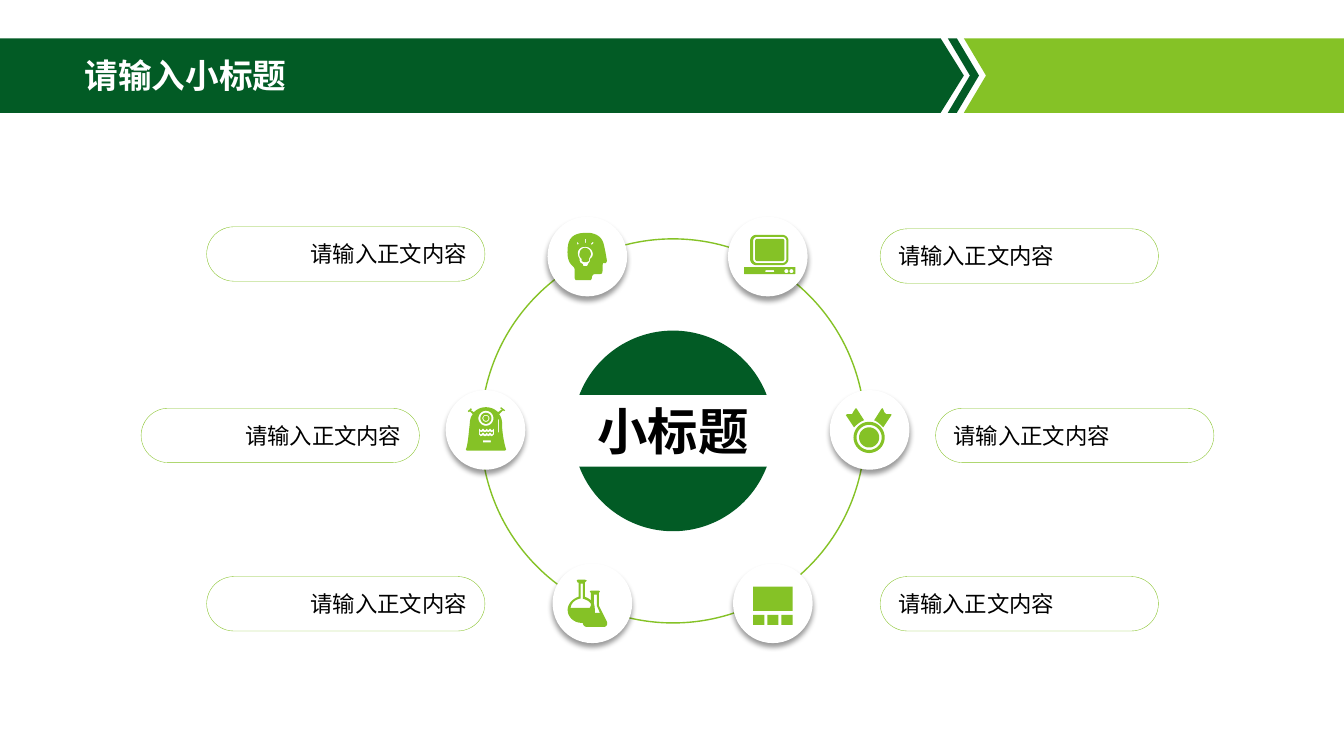
import dataclasses

import pptx
import pptx.dml.color
import pptx.enum.shapes
import pptx.enum.text
import pptx.oxml
import pptx.oxml.ns
import pptx.util

SHAPE = pptx.enum.shapes.MSO_SHAPE
ALIGN = pptx.enum.text.PP_ALIGN
ANCHOR = pptx.enum.text.MSO_ANCHOR
EMU_PER_PX = 9144  # 100 px to the inch


def px(length):
    return pptx.util.Emu(round(length * EMU_PER_PX))


@dataclasses.dataclass(frozen=True)
class Theme:
    dark: str = "025B25"
    light: str = "85C226"
    white: str = "FFFFFF"
    black: str = "000000"
    font: str = "Noto Sans CJK SC"
    title: int = 24
    hub: int = 36
    body: int = 16


# Outlines: a node of two numbers is a corner, one of six a cubic curve
def box(x, y, w, h):
    return [(x, y), (x + w, y), (x + w, y + h), (x, y + h)]


def rounded(x, y, w, h, r):
    k, right, bottom = r * 0.45, x + w, y + h
    return [(x + r, y), (right - r, y),
            (right - k, y, right, y + k, right, y + r), (right, bottom - r),
            (right, bottom - k, right - k, bottom, right - r, bottom),
            (x + r, bottom),
            (x + k, bottom, x, bottom - k, x, bottom - r), (x, y + r),
            (x, y + k, x + k, y, x + r, y)]


def ring(cx, cy, d):
    return rounded(cx - d / 2, cy - d / 2, d, d, d / 2)


def flatten(nodes, steps=8):
    points = []
    for node in nodes:
        if len(node) == 2:
            points.append(node)
            continue
        curve = [points[-1], node[:2], node[2:4], node[4:]]
        for step in range(1, steps + 1):
            t = step / steps
            weights = ((1 - t) ** 3, 3 * t * (1 - t) ** 2, 3 * t * t * (1 - t), t ** 3)
            points.append(tuple(sum(w * p[axis] for w, p in zip(weights, curve))
                                for axis in (0, 1)))
    return points


class SlideBuilder:
    def __init__(self, slide, theme):
        self.slide, self.theme = slide, theme

    def color(self, value):
        return pptx.dml.color.RGBColor.from_string(value)

    def paint(self, shape, fill=None, line=None, width=1):
        shape.shadow.inherit = False
        if fill:
            shape.fill.solid()
            shape.fill.fore_color.rgb = self.color(fill)
        else:
            shape.fill.background()
        if line:
            shape.line.color.rgb = self.color(line)
            shape.line.width = pptx.util.Pt(width)
        else:
            shape.line.fill.background()
        return shape

    def preset(self, kind, x, y, w, h, **style):
        shape = self.slide.shapes.add_shape(kind, px(x), px(y), px(w), px(h))
        return self.paint(shape, **style)

    def outline(self, x, y, contours, fill):
        paths = [[(px(x + a), px(y + b)) for a, b in flatten(c)] for c in contours]
        builder = self.slide.shapes.build_freeform(*paths[0][0])
        builder.add_line_segments(paths[0][1:])
        for contour in paths[1:]:
            builder.move_to(*contour[0])
            builder.add_line_segments(contour[1:])
        return self.paint(builder.convert_to_shape(), fill)

    def label(self, shape, words, size, color, bold=False,
              align=ALIGN.LEFT, anchor=ANCHOR.MIDDLE):
        frame = shape.text_frame
        frame.word_wrap = True
        frame.vertical_anchor = anchor
        paragraph = frame.paragraphs[0]
        paragraph.alignment = align
        run = paragraph.add_run()
        run.text = words
        run.font.size, run.font.bold = pptx.util.Pt(size), bold
        run.font.color.rgb = self.color(color)
        run.font.name = self.theme.font
        run_format = run._r.get_or_add_rPr()
        run_format.append(run_format.makeelement(
            pptx.oxml.ns.qn("a:ea"), {"typeface": self.theme.font}))
        return paragraph

    def title(self, words, x, y, w, h):
        holder = self.slide.shapes.title
        holder.left, holder.top, holder.width, holder.height = map(px, (x, y, w, h))
        paragraph = self.label(holder, words, self.theme.title, self.theme.white, True)
        paragraph.line_spacing = 0.9
        self.slide.shapes._spTree.append(holder._element)  # in front of the banner

    def disc(self, x, y, size=79):
        disc = self.preset(SHAPE.OVAL, x, y, size, size, fill=self.theme.white)
        effects = disc._element.spPr.find(pptx.oxml.ns.qn("a:effectLst"))
        effects.append(pptx.oxml.parse_xml(
            f'<a:outerShdw {pptx.oxml.ns.nsdecls("a")} blurRad="50800" dist="38100" '
            'dir="5400000" algn="t" rotWithShape="0"><a:srgbClr val="000000">'
            '<a:alpha val="40000"/></a:srgbClr></a:outerShdw>'))

    def pill(self, x, y, words, align):
        pill = self.preset(SHAPE.ROUNDED_RECTANGLE, x, y, 276, 54,
                           line=self.theme.light, width=0.25)
        pill.adjustments[0] = 0.5
        self.label(pill, words, self.theme.body, self.theme.black, align=align)


HEAD = [
    [(20, 0), (26, 0, 32, 3, 34, 7), (36, 9, 38, 22, 39, 28), (38, 30), (35, 30),
     (34, 36, 36, 41, 32, 41), (27, 41), (25, 41, 24, 43, 24, 45), (23, 47), (8, 47),
     (7, 45), (7, 37), (7, 35, 6, 34, 5, 33), (3, 31, -1, 28, 0, 15), (1, 1, 11, 0, 20, 0)],
    [(16, 14), (13, 14, 10, 17, 10, 20), (10, 22, 11, 25, 12, 26), (12, 28),
     (12, 29, 13, 30, 15, 31), (15, 32), (16, 33), (19, 33), (20, 32), (20, 31),
     (21, 30, 22, 29, 22, 28), (22, 26), (24, 25, 25, 23, 25, 21), (25, 17, 21, 13, 16, 14)],
    [(17, 15), (21, 15, 23, 18, 23, 21), (23, 23, 22, 24, 21, 26), (21, 28), (19, 29),
     (16, 29), (14, 28), (14, 26), (12, 24, 11, 22, 12, 20), (12, 18, 14, 15, 17, 15)],
    [(10, 9), (9, 10), (10, 12), (11, 11)],
    [(25, 9), (23, 11), (24, 12), (26, 10)],
    box(17, 6, 1, 4),
]
ROBOT = [
    [(20, 0), (25, 0, 29, 2, 32, 5), (36, 2), (34, 1), (35, 0), (39, 3), (38, 4), (37, 3),
     (33, 7), (35, 9, 36, 13, 36, 16), (36, 30, 40, 42, 40, 42), (39, 43), (1, 43), (0, 42),
     (2, 39, 3, 24, 4, 16), (4, 13, 5, 9, 7, 7), (4, 4), (3, 5), (2, 4), (5, 1), (6, 2),
     (5, 3), (8, 5), (11, 2, 15, 0, 20, 0)],
    *[ring(20, 11, d) for d in (15, 11, 7, 5)],
    [(13, 21), (15, 23), (17, 21), (19, 23), (21, 21), (22, 23), (24, 21), (26, 23), (28, 21),
     (28, 27), (26, 29), (24, 28), (22, 29), (21, 28), (19, 29), (17, 28), (15, 29), (13, 27)],
    [(14, 24), (15, 25), (17, 24), (19, 25), (21, 24), (22, 25), (24, 24), (26, 25), (27, 24),
     (27, 26), (26, 27), (24, 25), (22, 27), (21, 25), (19, 27), (17, 25), (15, 27), (14, 26)],
    box(17, 33, 8, 2), box(32, 12, 1, 13),
]
FLASKS = [
    [(39, 42), (31, 26), (31, 13), (32, 12), (31, 11), (23, 11), (22, 12), (23, 13), (23, 21),
     (22, 19, 19, 18, 17, 17), (17, 3), (19, 1), (17, 0), (10, 0), (9, 1), (10, 3), (11, 3),
     (11, 17), (5, 19, 0, 24, 0, 30), (0, 37, 6, 43, 14, 43), (15, 43),
     (15, 45, 17, 47, 19, 47), (36, 47), (38, 47, 40, 45, 39, 42)],
    [(23, 26), (22, 28), (3, 28), (3, 24, 7, 20, 12, 19), (13, 19), (13, 4), (15, 4),
     (15, 19), (19, 20, 22, 22, 23, 24)],
    [(27, 33), (27, 30, 27, 26, 26, 24), (26, 15), (29, 15), (29, 26), (32, 33)],
]
LAPTOP = [
    rounded(6, 0, 38, 30, 6), rounded(9, 2, 33, 26, 4), rounded(11, 4, 29, 22, 2),
    [(0, 32), (51, 32), (51, 38), (51, 39, 50, 39, 49, 39), (2, 39), (0, 39, 0, 39, 0, 38)],
    rounded(21, 35, 9, 2, 1), ring(42, 36, 4), ring(47, 36, 4),
]
MEDAL = [
    *[ring(23, 29, d) for d in (31, 25, 20)],
    [(10, 0), (11, 1), (18, 12), (15, 13, 12, 15, 8, 19), (0, 7), (1, 6), (5, 6),
     (6, 6, 7, 5, 7, 4), (9, 1)],
    [(36, 0), (37, 1), (38, 4), (39, 5, 40, 6, 41, 6), (45, 6), (45, 7), (37, 19),
     (34, 16, 31, 13, 28, 12), (35, 1)],
]
GALLERY = [box(0, 0, 39, 24), *[box(x, 28, 11, 10) for x in (0, 14, 28)]]

# Each topic: disc, pill, icon corner, icon, text alignment
TOPICS = [
    ((543, 215), (205, 225), (563, 231), HEAD, ALIGN.RIGHT),
    ((442, 387), (140, 405), (462, 404), ROBOT, ALIGN.RIGHT),
    ((548, 559), (205, 572), (563, 575), FLASKS, ALIGN.RIGHT),
    ((722, 215), (873, 227), (738, 233), LAPTOP, ALIGN.LEFT),
    ((823, 387), (928, 405), (839, 405), MEDAL, ALIGN.LEFT),
    ((727, 559), (873, 572), (747, 582), GALLERY, ALIGN.LEFT),
]


def main():
    deck = pptx.Presentation()
    deck.slide_width, deck.slide_height = px(1333), px(750)
    theme = Theme()
    page = SlideBuilder(deck.slides.add_slide(deck.slide_layouts[5]), theme)

    # Banner: dark bar, chevron, light bar
    page.outline(0, 38, [[(0, 0), (933, 0), (956, 37), (933, 74), (0, 74)]], theme.dark)
    page.outline(940, 38, [[(0, 0), (9, 0), (31, 37), (9, 74), (0, 74), (22, 37)]], theme.dark)
    page.outline(956, 38, [[(0, 0), (377, 0), (377, 74), (0, 74), (22, 37)]], theme.light)
    page.title("请输入小标题", 74, 44, 830, 66)

    # Hub and orbit
    page.preset(SHAPE.OVAL, 568, 328, 199, 199, fill=theme.dark)
    hub = page.preset(SHAPE.RECTANGLE, 552, 392, 231, 71, fill=theme.white)
    page.label(hub, "小标题", theme.hub, theme.black, True, ALIGN.CENTER, ANCHOR.TOP)
    page.preset(SHAPE.OVAL, 477, 237, 381, 381, line=theme.light)

    # Topics around the orbit
    for disc, pill, corner, icon, align in TOPICS:
        page.disc(*disc)
        page.pill(*pill, "请输入正文内容", align)
        page.outline(*corner, icon, theme.light)

    deck.save("out.pptx")


if __name__ == "__main__":
    main()
